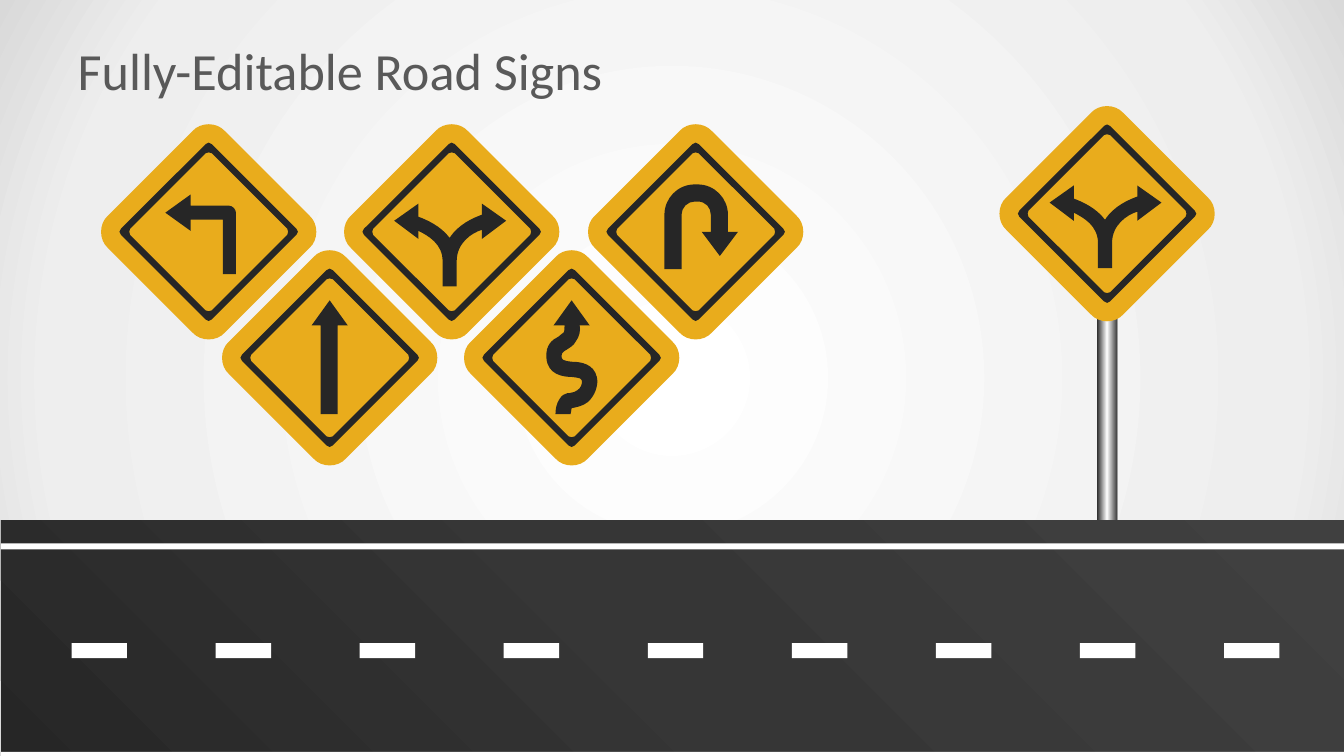
import lxml.etree
import pptx
import pptx.dml.color
import pptx.enum.shapes
import pptx.enum.text
import pptx.oxml.ns
import pptx.util

Inches = pptx.util.Inches
qn = pptx.oxml.ns.qn

COLORS = {
    "title": "595959",
    "white": "FFFFFF",
    "mist": "EEEEEE",
    "haze": "D9D9D9",
    "ink": "262626",
    "asphalt": "363636",
    "asphalt_light": "404040",
    "amber": "E9AC1C",
}

SIGN_SIZE = 2.18

# Outlines in inches from the sign centre: a pair is a straight step,
# six numbers are a cubic curve (two control points and an end point).
TURN_LEFT = [
    (0.2, -0.26), (-0.18, -0.26), (-0.18, -0.37), (-0.43, -0.19), (-0.18, -0.01),
    (-0.18, -0.12), (0.14, -0.12), (0.14, 0.42), (0.27, 0.42), (0.27, -0.19),
    (0.27, -0.22, 0.24, -0.26, 0.2, -0.26),
]
FORK = [
    (0.54, -0.11), (0.3, -0.28), (0.3, -0.17),
    (0.22, -0.14, 0.07, -0.08, -0.02, 0.06),
    (-0.11, -0.06, -0.25, -0.12, -0.33, -0.15),
    (-0.33, -0.28), (-0.57, -0.11), (-0.33, 0.07), (-0.33, -0.01),
    (-0.23, 0.04, -0.09, 0.12, -0.09, 0.29),
    (-0.09, 0.54), (0.05, 0.54), (0.05, 0.29),
    (0.05, 0.11, 0.2, 0.01, 0.3, -0.02), (0.3, 0.07),
]
U_TURN = [
    (0.32, 0), (0.32, -0.17), (0.32, -0.33, 0.19, -0.47, 0.02, -0.47),
    (-0.01, -0.47), (-0.18, -0.47, -0.31, -0.33, -0.31, -0.17),
    (-0.31, 0.37), (-0.14, 0.37), (-0.14, -0.17),
    (-0.14, -0.24, -0.08, -0.3, -0.01, -0.3), (0.02, -0.3),
    (0.1, -0.3, 0.15, -0.24, 0.15, -0.17),
    (0.15, 0), (0.06, 0), (0.24, 0.24), (0.42, 0),
]
WINDING = [
    (0.25, 0.19), (0.22, 0.06, 0.09, 0.04, 0.01, 0.04),
    (-0.09, 0.03, -0.1, 0.02, -0.1, -0.02), (-0.1, -0.04, -0.1, -0.05, -0.05, -0.08),
    (-0.02, -0.1, 0.02, -0.12, 0.04, -0.16), (0.08, -0.21, 0.09, -0.28, 0.08, -0.32),
    (0.18, -0.32), (0, -0.57), (-0.18, -0.32), (-0.07, -0.32),
    (-0.07, -0.3, -0.07, -0.26, -0.08, -0.25), (-0.09, -0.24, -0.11, -0.23, -0.13, -0.21),
    (-0.19, -0.18, -0.26, -0.13, -0.25, 0), (-0.24, 0.17, -0.08, 0.19, 0, 0.19),
    (0.09, 0.2, 0.1, 0.21, 0.1, 0.22), (0.11, 0.26, 0.09, 0.3, 0.06, 0.32),
    (0.04, 0.34, 0.02, 0.34, -0.02, 0.35), (-0.04, 0.35),
    (-0.07, 0.36, -0.1, 0.37, -0.12, 0.41), (-0.15, 0.45, -0.16, 0.51, -0.16, 0.56),
    (-0.01, 0.56), (0, 0.5),
    (0.05, 0.49, 0.11, 0.48, 0.16, 0.44), (0.23, 0.38, 0.27, 0.27, 0.25, 0.19),
]
STRAIGHT = [
    (0.18, -0.32), (0, -0.57), (-0.18, -0.32), (-0.09, -0.32),
    (-0.09, 0.56), (0.08, 0.56), (0.08, -0.32),
]
# Sign symbol with the left and top of its plate
SIGNS = [
    (TURN_LEFT, 0.98, 1.21),
    (FORK, 3.39, 1.21),
    (U_TURN, 5.81, 1.21),
    (WINDING, 4.58, 2.46),
    (STRAIGHT, 2.18, 2.46),
    (FORK, 9.89, 1.03),
]


def rgb(name):
    return pptx.dml.color.RGBColor.from_string(COLORS[name])


def set_gradient(fill, owner, stops, angle=None):
    """Fill with (percent, colour) stops, along an angle or, without one, from the centre."""
    fill.gradient()
    gradient = next(owner.iter(qn("a:gradFill")))
    for child in list(gradient):
        gradient.remove(child)
    stop_list = lxml.etree.SubElement(gradient, qn("a:gsLst"))
    for percent, color in stops:
        stop = lxml.etree.SubElement(stop_list, qn("a:gs"), pos=str(percent * 1000))
        lxml.etree.SubElement(stop, qn("a:srgbClr"), val=COLORS[color])
    if angle is None:
        circle = lxml.etree.SubElement(gradient, qn("a:path"), path="circle")
        lxml.etree.SubElement(circle, qn("a:fillToRect"), l="50000", t="50000", r="50000", b="50000")
    else:
        lxml.etree.SubElement(gradient, qn("a:lin"), ang=str(angle * 60000), scaled="0")


def finish(shape, color):
    shape.shadow.inherit = False
    shape.line.fill.background()
    shape.fill.solid()
    shape.fill.fore_color.rgb = rgb(color)


def add_bar(shapes, left, top, width, height, color="white"):
    bar = shapes.add_shape(
        pptx.enum.shapes.MSO_SHAPE.RECTANGLE,
        Inches(left), Inches(top), Inches(width), Inches(height))
    finish(bar, color)
    return bar


def pairs(part):
    return list(zip(part[::2], part[1::2]))


def diamond(reach, control, half):
    """Diamond with four rounded corners, each a quarter turn from the last."""
    corner = [(reach, -half), (control, -half / 2, control, half / 2, reach, half)]
    outline = []
    for _ in range(4):
        outline += corner
        corner = [sum(((-y, x) for x, y in pairs(part)), ()) for part in corner]
    return outline


def add_outline(shapes, center, scale, color, *contours):
    builder = None
    for contour in contours:
        start, *rest = [(Inches(x * scale), Inches(y * scale))
                        for part in contour for x, y in pairs(part)]
        if builder is None:
            builder = shapes.build_freeform(*start)
        else:
            builder.move_to(*start)
        builder.add_line_segments(rest, close=True)
    shape = builder.convert_to_shape(*center)
    finish(shape, color)
    # Join the three steps of each curve into one cubic segment
    steps = iter(list(shape._element.iter(qn("a:lnTo"))))
    for contour in contours:
        for part in contour[1:]:
            segment = next(steps)
            if len(part) == 6:
                segment.tag = qn("a:cubicBezTo")
                for _ in range(2):
                    step = next(steps)
                    segment.append(step[0])
                    step.getparent().remove(step)


def add_sign(slide, symbol, left, top, size=SIGN_SIZE):
    shapes = slide.shapes.add_group_shape().shapes
    center = Inches(left + size / 2), Inches(top + size / 2)
    scale = size / SIGN_SIZE
    add_outline(shapes, center, scale, "amber", diamond(1, 1.09, 0.16))
    add_outline(shapes, center, scale, "ink", diamond(0.87, 0.89, 0.03), diamond(0.78, 0.79, 0.03))
    add_outline(shapes, center, scale, "ink", symbol)


def add_road(slide, left, top, width, height):
    surface = add_bar(slide.shapes, left, top, width, height, "asphalt")
    set_gradient(surface.fill, surface._element,
                 [(0, "ink"), (50, "asphalt"), (100, "asphalt_light")], 315)
    markings = slide.shapes.add_group_shape().shapes
    dashes, span = 9, 11.43
    for i in range(dashes):
        add_bar(markings, left + 0.7 + i * span / (dashes - 1), top + 1.22, 0.55, 0.15)
    for offset in (2.3, 0.23):
        add_bar(markings, left, top + offset, width, 0.06)


def add_post(slide, left, top, width, height):
    post = add_bar(slide.shapes, left, top, width, height)
    set_gradient(post.fill, post._element,
                 [(0, "ink"), (50, "white"), (100, "asphalt_light")], 0)


def set_title(slide, left, top, width, height):
    title = slide.shapes.title
    title.left, title.top = Inches(left), Inches(top)
    title.width, title.height = Inches(width), Inches(height)
    frame = title.text_frame
    frame.text = "Fully-Editable Road Signs"
    frame.vertical_anchor = pptx.enum.text.MSO_ANCHOR.MIDDLE
    frame.paragraphs[0].alignment = pptx.enum.text.PP_ALIGN.LEFT
    font = frame.paragraphs[0].runs[0].font
    font.name, font.size = "Calibri", pptx.util.Pt(37.3)
    font.color.rgb = rgb("title")


def main():
    deck = pptx.Presentation()
    deck.slide_width, deck.slide_height = Inches(13.33), Inches(7.5)
    slide = deck.slides.add_slide(deck.slide_layouts[5])
    set_gradient(slide.background.fill, slide._element,
                 [(0, "white"), (81, "mist"), (100, "haze")])
    set_title(slide, 0.67, 0.3, 12, 0.78)
    add_road(slide, 0.01, 5.16, 13.33, 2.59)
    add_post(slide, 10.88, 3.13, 0.2, 2.03)
    for symbol, left, top in SIGNS:
        add_sign(slide, symbol, left, top)
    deck.save("out.pptx")


if __name__ == "__main__":
    main()
